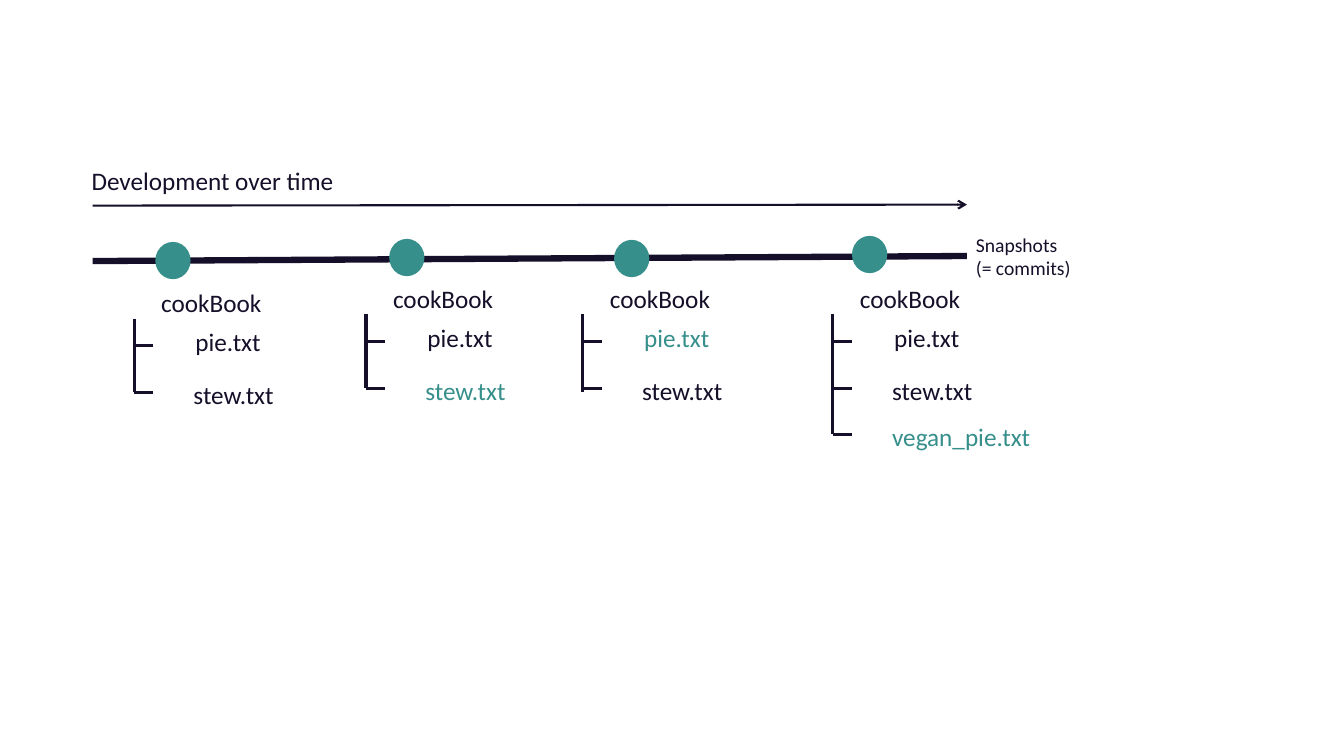
import pptx
import pptx.dml.color
import pptx.enum.shapes
import pptx.enum.text
import pptx.oxml
import pptx.oxml.ns
import pptx.util

PX = 9144  # EMU in one px, 100 px to the inch
INK = "160F29"
TEAL = "368F8B"


def px(n):
    return pptx.util.Emu(n * PX)


def rgb(value):
    return pptx.dml.color.RGBColor.from_string(value)


class Sketch:
    """Holds the slide and its style; each method draws one kind of element."""

    font = "Calibri"

    def __init__(self, slide):
        self.shapes = slide.shapes

    def line(self, x1, y1, x2, y2, width=2.25, arrow=False):
        kind = pptx.enum.shapes.MSO_CONNECTOR.STRAIGHT
        sp = self.shapes.add_connector(kind, px(x1), px(y1), px(x2), px(y2))
        sp.line.color.rgb = rgb(INK)
        sp.line.width = pptx.util.Pt(width)
        if arrow:
            ln = sp.line._get_or_add_ln()
            pptx.oxml.ns.qn("a:tailEnd")
            tail = pptx.oxml.parse_xml(
                f'<a:tailEnd {pptx.oxml.ns.nsdecls("a")} type="arrow"/>')
            ln.append(tail)
        sp._element.spPr.append(pptx.oxml.parse_xml(
            f'<a:effectLst {pptx.oxml.ns.nsdecls("a")}/>'))

    def dot(self, x, y, w, h):
        kind = pptx.enum.shapes.MSO_SHAPE.OVAL
        sp = self.shapes.add_shape(kind, px(x), px(y), px(w), px(h))
        sp.shadow.inherit = False
        sp.fill.solid()
        sp.fill.fore_color.rgb = rgb(TEAL)
        sp.line.fill.background()

    def text(self, x, y, w, h, lines, size=18, color=INK):
        tf = self.shapes.add_textbox(px(x), px(y), px(w), px(h)).text_frame
        tf.word_wrap = True
        tf.auto_size = pptx.enum.text.MSO_AUTO_SIZE.SHAPE_TO_FIT_TEXT
        for i, content in enumerate(lines):
            p = tf.add_paragraph() if i else tf.paragraphs[0]
            r = p.add_run()
            r.text = content
            r.font.name = self.font
            r.font.size = pptx.util.Pt(size)
            r.font.color.rgb = rgb(color)

    def tree(self, x, y, trunk, files, changed):
        """Draw the cookBook folder with its files, the changed one in teal."""
        self.line(x, y, x, y + trunk)
        self.text(x + 17, y - 36, 162, 40, ["cookBook"])
        for i, name in enumerate(files):
            branch_y = y + 27 + 46 * i
            self.line(x + 19, branch_y, x, branch_y)
            dx, dy, w = FILE_LABELS[name]
            color = TEAL if name == changed else INK
            self.text(x + dx, y + dy, w, 40, [name], color=color)


# Offset from the top of the trunk, and width, of each file's label
FILE_LABELS = {
    "pie.txt": (51, 3, 129),
    "stew.txt": (49, 55, 129),
    "vegan_pie.txt": (49, 101, 197),
}

# Dot left and top; trunk left, top and length; number of files; changed file
SNAPSHOTS = [
    (154, 240, 133, 316, 73, 2, None),
    (386, 237, 363, 312, 73, 2, "stew.txt"),
    (609, 238, 578, 312, 77, 2, "pie.txt"),
    (845, 234, 826, 312, 119, 3, "vegan_pie.txt"),
]


def main():
    prs = pptx.Presentation()
    prs.slide_width, prs.slide_height = px(1333), px(750)
    s = Sketch(prs.slides.add_slide(prs.slide_layouts[6]))

    s.line(92, 204, 959, 203, width=1.5, arrow=True)
    s.text(81, 159, 333, 40, ["Development over time"])
    s.line(92, 259, 959, 254, width=4.5)
    s.text(958, 226, 129, 57, ["Snapshots", "(= commits)"], size=14)

    for dot_x, dot_y, x, y, trunk, count, changed in SNAPSHOTS:
        s.dot(dot_x, dot_y, 35, 37)
        s.tree(x, y, trunk, list(FILE_LABELS)[:count], changed)

    prs.save("out.pptx")


if __name__ == "__main__":
    main()
